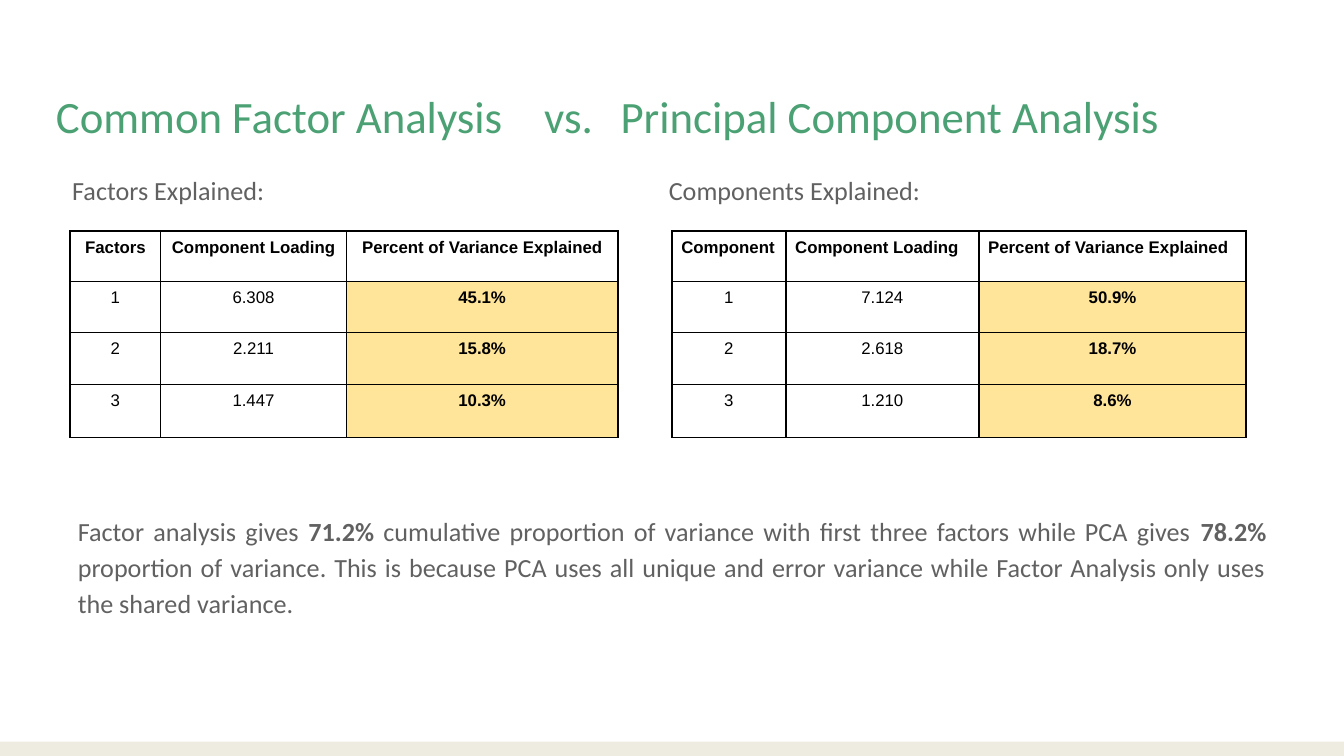
from lxml import etree
from pptx import Presentation
from pptx.dml.color import RGBColor
from pptx.enum.shapes import MSO_SHAPE
from pptx.enum.text import PP_ALIGN
from pptx.oxml.ns import qn
from pptx.util import Pt

RECTANGLE = MSO_SHAPE.RECTANGLE
LEFT, CENTER, JUSTIFY = PP_ALIGN.LEFT, PP_ALIGN.CENTER, PP_ALIGN.JUSTIFY

COLORS = {
    "title": "4BA173",
    "body": "616161",
    "black": "000000",
    "highlight": "FFE599",
    "footer": "EEECE1",
}
ROW_HEIGHTS = [27, 27.4, 27.8, 28.4]
TABLE_TOP = 123.8
BORDER_WIDTH = 0.96

FACTOR_ROWS = [
    ["Factors", "Component Loading", "Percent of Variance Explained"],
    ["1", "6.308", "45.1%"],
    ["2", "2.211", "15.8%"],
    ["3", "1.447", "10.3%"],
]
COMPONENT_ROWS = [
    ["Component", "Component Loading", "Percent of Variance Explained"],
    ["1", "7.124", "50.9%"],
    ["2", "2.618", "18.7%"],
    ["3", "1.210", "8.6%"],
]
CONCLUSION = [
    ("Factor analysis gives ", False),
    ("71.2% ", True),
    ("cumulative proportion of variance with first three factors while PCA gives ", False),
    ("78.2%", True),
    (" proportion of variance. This is because PCA uses all unique and error variance "
     "while Factor Analysis only uses the shared variance.", False),
]


def rgb(name):
    return RGBColor.from_string(COLORS[name])


def write_text(frame, runs, size=14, font="Calibri", color="body", align=JUSTIFY, spacing=1.15):
    paragraph = frame.paragraphs[0]
    paragraph.alignment = align
    paragraph.line_spacing = spacing
    for text, bold in runs:
        run = paragraph.add_run()
        run.text = text
        run.font.size = Pt(size)
        run.font.name = font
        run.font.bold = bold
        run.font.color.rgb = rgb(color)
    return paragraph


def add_text_box(slide, left, top, width, height, runs, inset_left=7.2, inset_top=7.2, **text_format):
    frame = slide.shapes.add_textbox(Pt(left), Pt(top), Pt(width), Pt(height)).text_frame
    frame.word_wrap = True
    frame.margin_left, frame.margin_top = Pt(inset_left), Pt(inset_top)
    frame.margin_right = frame.margin_bottom = Pt(7.2)
    return write_text(frame, runs, **text_format)


def add_tab_stops(paragraph, positions):
    properties = paragraph._p.get_or_add_pPr()
    tab_list = etree.SubElement(properties, qn("a:tabLst"))
    for position in positions:
        etree.SubElement(tab_list, qn("a:tab"), pos=str(Pt(position)), algn="l")


def add_cell_borders(cell):
    properties = cell._tc.get_or_add_tcPr()
    for index, side in enumerate("LRTB"):
        line = etree.Element(qn(f"a:ln{side}"), w=str(Pt(BORDER_WIDTH)))
        fill = etree.SubElement(line, qn("a:solidFill"))
        etree.SubElement(fill, qn("a:srgbClr"), val=COLORS["black"])
        properties.insert(index, line)


def add_variance_table(slide, left, column_widths, rows, header_align):
    table = slide.shapes.add_table(
        len(rows), len(column_widths), Pt(left), Pt(TABLE_TOP),
        Pt(sum(column_widths)), Pt(sum(ROW_HEIGHTS)),
    ).table
    table.first_row = table.horz_banding = False
    for column, width in zip(table.columns, column_widths):
        column.width = Pt(width)
    for row, height in zip(table.rows, ROW_HEIGHTS):
        row.height = Pt(height)
    for row_index, values in enumerate(rows):
        for column_index, value in enumerate(values):
            cell = table.cell(row_index, column_index)
            is_header = row_index == 0
            is_percent = column_index == len(values) - 1
            cell.margin_left = cell.margin_right = Pt(5)
            cell.margin_top = cell.margin_bottom = Pt(3.6)
            if is_percent and not is_header:
                cell.fill.solid()
                cell.fill.fore_color.rgb = rgb("highlight")
            else:
                cell.fill.background()
            add_cell_borders(cell)
            write_text(
                cell.text_frame, [(value, is_header or is_percent)],
                size=9, font="Arial", color="black", spacing=1,
                align=header_align if is_header else CENTER,
            )


def add_footer_bar(slide):
    shape = slide.shapes.add_shape(RECTANGLE, Pt(0), Pt(397.4), Pt(720), Pt(7.6))
    shape.shadow.inherit = False
    shape.fill.solid()
    shape.fill.fore_color.rgb = rgb("footer")
    shape.line.fill.background()


def main():
    presentation = Presentation()
    presentation.slide_width, presentation.slide_height = Pt(720), Pt(405)
    slide = presentation.slides.add_slide(presentation.slide_layouts[6])

    add_footer_bar(slide)
    title = add_text_box(
        slide, 0, 20.9, 720, 45.4,
        [("Common Factor Analysis\tvs.\tPrincipal Component Analysis", False)],
        inset_left=30, inset_top=22.5, size=24, color="title", align=LEFT,
    )
    add_tab_stops(title, [261.5, 302.5])
    add_text_box(slide, 34.6, 266.4, 651, 92.9, CONCLUSION)
    add_variance_table(slide, 37.6, [48.5, 99.5, 145.5], FACTOR_ROWS, CENTER)
    add_variance_table(slide, 360, [61, 103.4, 143.3], COMPONENT_ROWS, LEFT)
    add_text_box(slide, 351.2, 83.5, 183, 28, [("Components Explained:", False)])
    add_text_box(slide, 31.6, 83.5, 153, 28, [("Factors Explained:", False)])

    presentation.save("out.pptx")


if __name__ == "__main__":
    main()
